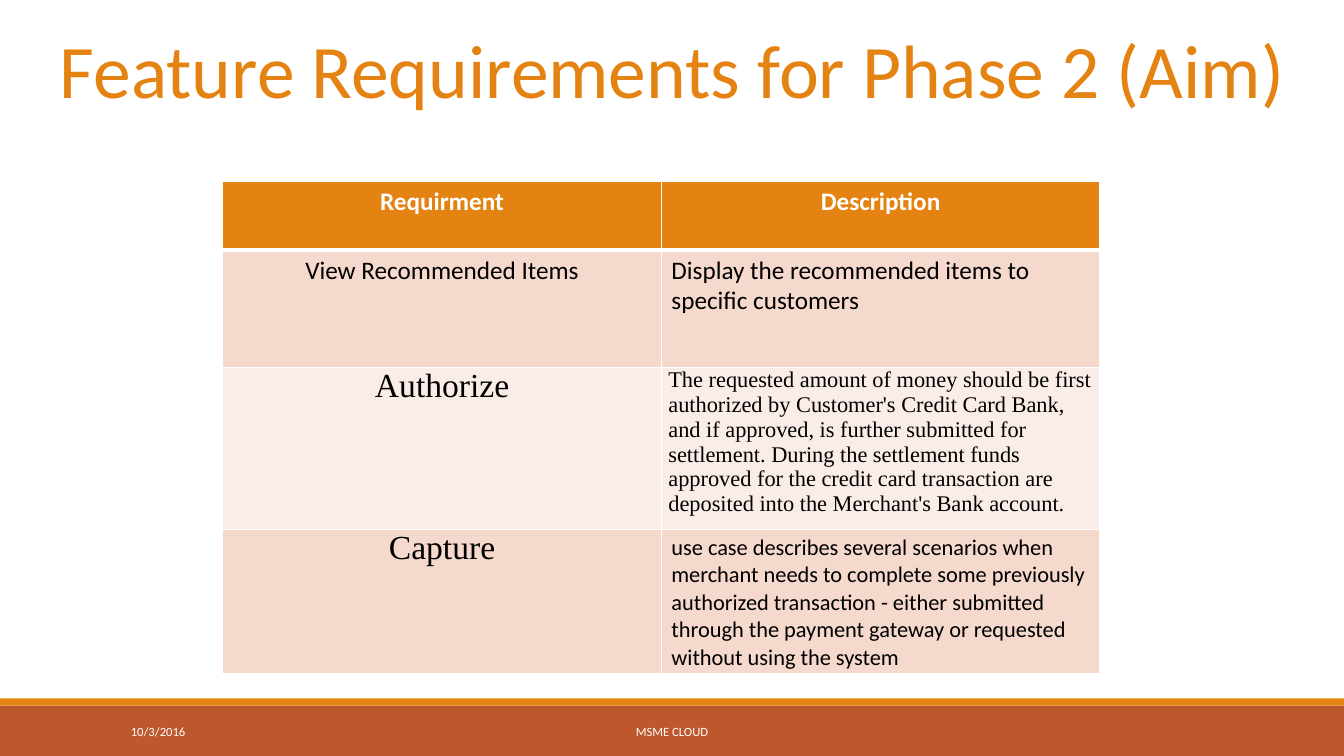
from dataclasses import dataclass

from lxml import etree
from pptx import Presentation
from pptx.dml.color import RGBColor
from pptx.enum import shapes, text
from pptx.oxml import ns
from pptx.util import Inches, Pt

ORANGE, RUST, WHITE, BLACK = "E48312", "BD582C", "FFFFFF", "000000"
DARK_BAND, LIGHT_BAND = "F5D9CC", "FAEDE7"
CENTER, LEFT = text.PP_ALIGN.CENTER, text.PP_ALIGN.LEFT
SERIF = "Times New Roman"


@dataclass
class Style:
    size: float
    color: str = BLACK
    font: str = "Calibri"
    bold: bool = False
    align: text.PP_ALIGN = LEFT
    line_spacing: float | Pt = 1.0


@dataclass
class Bar:
    top: float
    height: float
    color: str


@dataclass
class Footer:
    left: float
    width: float
    words: str
    align: text.PP_ALIGN


@dataclass
class Entry:
    words: str
    style: Style
    tight: bool = False


@dataclass
class Row:
    height: float
    fill: str
    entries: tuple[Entry, Entry]


HEADER = Style(18, WHITE, bold=True, align=CENTER)
NAME = Style(24, font=SERIF, align=CENTER)

BARS = [Bar(7, 0.5, RUST), Bar(6.93, 0.07, ORANGE)]
FOOTERS = [Footer(1.2, 2.7, "10/3/2016", LEFT),
           Footer(4.03, 5.27, "MSME CLOUD", CENTER)]
ROWS = [
    Row(0.68, ORANGE, (Entry("Requirment", HEADER), Entry("Description", HEADER))),
    Row(1.17, DARK_BAND, (
        Entry("View Recommended Items", Style(18, align=CENTER)),
        Entry("Display the recommended items to specific customers", Style(18)))),
    Row(1.6, LIGHT_BAND, (
        Entry("Authorize", NAME, tight=True),
        Entry("The requested amount of money should be first authorized by "
              "Customer's Credit Card Bank, and if approved, is further submitted "
              "for settlement. During the settlement funds approved for the credit "
              "card transaction are deposited into the Merchant's Bank account.",
              Style(16, font=SERIF, line_spacing=Pt(17.7)), tight=True))),
    Row(1.43, DARK_BAND, (
        Entry("Capture", NAME, tight=True),
        Entry("use case describes several scenarios when merchant needs to complete "
              "some previously authorized transaction - either submitted through the "
              "payment gateway or requested without using the system", Style(16)))),
]


def rgb(color: str) -> RGBColor:
    return RGBColor.from_string(color)


def write(tf, words: str, style: Style) -> None:
    p = tf.paragraphs[0]
    p.alignment, p.line_spacing = style.align, style.line_spacing
    r = p.add_run()
    r.text = words
    formats = {"size": Pt(style.size), "name": style.font, "bold": style.bold}
    for name, value in formats.items():
        setattr(r.font, name, value)
    r.font.color.rgb = rgb(style.color)


def add_title(s) -> None:
    sp = s.shapes.title
    place = {"left": 0.43, "top": 0.18, "width": 12.48, "height": 1.01}
    for name, value in place.items():
        setattr(sp, name, Inches(value))
    tf = sp.text_frame
    tf.word_wrap = False
    tf.auto_size = text.MSO_AUTO_SIZE.SHAPE_TO_FIT_TEXT
    tf.vertical_anchor = text.MSO_ANCHOR.TOP
    write(tf, "Feature Requirements for Phase 2 (Aim)",
          Style(54, ORANGE, align=CENTER))


def add_bar(s, bar: Bar, width: int) -> None:
    sp = s.shapes.add_shape(shapes.MSO_SHAPE.RECTANGLE, 0, Inches(bar.top),
                            width, Inches(bar.height))
    sp.shadow.inherit = False
    sp.fill.solid()
    sp.fill.fore_color.rgb = rgb(bar.color)
    sp.line.fill.background()


def add_footer(s, footer: Footer) -> None:
    sp = s.shapes.add_textbox(Inches(footer.left), Inches(7.06),
                              Inches(footer.width), Inches(0.4))
    tf = sp.text_frame
    tf.word_wrap = True
    tf.vertical_anchor = text.MSO_ANCHOR.MIDDLE
    write(tf, footer.words, Style(9, WHITE, align=footer.align))


def add_borders(cell, top: float, bottom: float) -> None:
    """Draw white borders; widths are in points and the sides are 1 point."""
    tc_pr = cell._tc.get_or_add_tcPr()
    for side, width in {"L": 1, "R": 1, "T": top, "B": bottom}.items():
        ln = etree.SubElement(tc_pr, ns.qn(f"a:ln{side}"), w=str(Pt(width)))
        fill = etree.SubElement(ln, ns.qn("a:solidFill"))
        etree.SubElement(fill, ns.qn("a:srgbClr"), val=WHITE)


def fill_cell(cell, entry: Entry, fill: str) -> None:
    if entry.tight:
        cell.margin_left = cell.margin_right = Inches(0.07)
        cell.margin_top = cell.margin_bottom = 0
    cell.fill.solid()
    cell.fill.fore_color.rgb = rgb(fill)
    write(cell.text_frame, entry.words, entry.style)


def add_requirements(s) -> None:
    height = sum(row.height for row in ROWS)
    table = s.shapes.add_table(len(ROWS), 2, Inches(2.21), Inches(1.8),
                               Inches(8.7), Inches(height)).table
    for i, row in enumerate(ROWS):
        table.rows[i].height = Inches(row.height)
        for j, entry in enumerate(row.entries):
            cell = table.cell(i, j)
            add_borders(cell, top=3 if i == 1 else 1, bottom=3 if i == 0 else 1)
            fill_cell(cell, entry, row.fill)


def main() -> None:
    prs = Presentation()
    prs.slide_width, prs.slide_height = Inches(13.33), Inches(7.5)
    s = prs.slides.add_slide(prs.slide_layouts[5])
    for bar in BARS:
        add_bar(s, bar, prs.slide_width)
    for footer in FOOTERS:
        add_footer(s, footer)
    add_title(s)
    add_requirements(s)
    prs.save("out.pptx")


if __name__ == "__main__":
    main()
